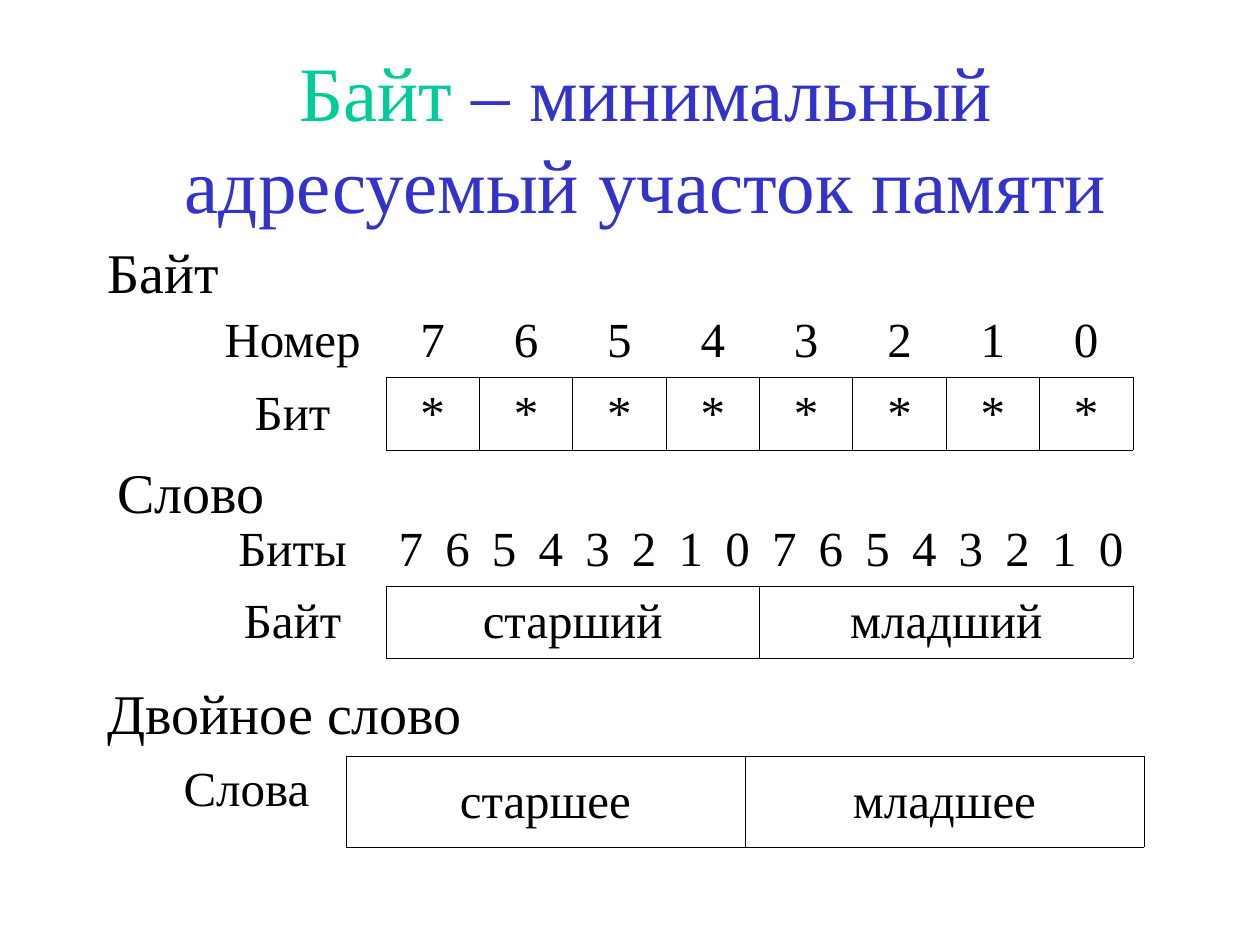
from lxml.etree import SubElement
from pptx import Presentation
from pptx.dml.color import RGBColor
from pptx.enum.text import MSO_ANCHOR, MSO_AUTO_SIZE, PP_ALIGN
from pptx.oxml.ns import qn
from pptx.util import Emu, Pt

FONT = "Times New Roman"
BLACK = RGBColor(0x00, 0x00, 0x00)
BLUE = RGBColor(0x33, 0x33, 0xCC)
GREEN = RGBColor(0x00, 0xCC, 0x99)
BORDER = Pt(0.45)

TITLE = [("Байт", GREEN), (" – минимальный адресуемый участок памяти", BLUE)]
TITLE_BOX = (95, 84, 1102, 105)
BODY = "Байт"
BODY_BOX = (95, 231, 1071, 640)
HEADINGS = [("Слово", (105, 451, 179, 81)), ("Двойное слово", (95, 672, 388, 81))]

BITS = list("76543210")
# Each row is a label and its values; the values of the last row are boxed.
TABLES = [
    dict(left=199, top=305, label_width=187, values_width=747, heights=(72, 73),
         rows=[("Номер", BITS), ("Бит", ["*"] * 8)], label_anchor=MSO_ANCHOR.MIDDLE),
    dict(left=199, top=514, label_width=187, values_width=747, heights=(72, 72),
         rows=[("Биты", BITS * 2), ("Байт", ["старший", "младший"])],
         label_anchor=MSO_ANCHOR.MIDDLE),
    dict(left=147, top=756, label_width=199, values_width=798, heights=(91,),
         rows=[("Слова", ["старшее", "младшее"])], label_anchor=MSO_ANCHOR.TOP),
]


def px(length):
    return Emu(round(length * 914400 / 126))


def place(shape, box):
    shape.left, shape.top, shape.width, shape.height = map(px, box)


def format_run(run, size, color=BLACK):
    run.font.name = FONT
    run.font.size = Pt(size)
    run.font.color.rgb = color


def write_heading(frame, heading):
    frame.word_wrap = True
    frame.auto_size = MSO_AUTO_SIZE.NONE
    frame.text = heading
    frame.paragraphs[0].space_before = Pt(0)
    format_run(frame.paragraphs[0].runs[0], 32)


def draw_borders(cell, edges):
    """Draw the edges named in edges (letters of LRTB) and clear the others."""
    properties = cell._tc.get_or_add_tcPr()
    for edge in "LRTB":
        line = SubElement(properties, qn("a:ln" + edge), w=str(BORDER))
        if edge in edges:
            fill = SubElement(line, qn("a:solidFill"))
            SubElement(fill, qn("a:srgbClr"), val=str(BLACK))
        else:
            SubElement(line, qn("a:noFill"))


def edges_of(row, column, last_row):
    if row == last_row:
        return "LRTB" if column else "R"
    return "B" if column and row == last_row - 1 else ""


def write_cell(cell, wording, anchor):
    cell.text = wording
    cell.vertical_anchor = anchor
    cell.margin_left = cell.margin_right = px(12.6)
    cell.margin_top = cell.margin_bottom = px(6.3)
    paragraph = cell.text_frame.paragraphs[0]
    paragraph.alignment = PP_ALIGN.CENTER
    format_run(paragraph.runs[0], 28)


def add_layout_table(slide, left, top, label_width, values_width, heights, rows,
                     label_anchor):
    value_count = max(len(values) for _, values in rows)
    table = slide.shapes.add_table(
        len(rows), value_count + 1, px(left), px(top),
        px(label_width + values_width), px(sum(heights))).table
    table.first_row = table.horz_banding = False
    for column, width in zip(
            table.columns, [label_width] + [values_width / value_count] * value_count):
        column.width = px(width)
    for r, (label, values) in enumerate(rows):
        table.rows[r].height = px(heights[r])
        for c in range(value_count + 1):
            cell = table.cell(r, c)
            draw_borders(cell, edges_of(r, c, len(rows) - 1))
            cell.fill.background()
        write_cell(table.cell(r, 0), label, label_anchor)
        span = value_count // len(values)
        for i, value in enumerate(values):
            first = 1 + i * span
            if span > 1:
                table.cell(r, first).merge(table.cell(r, first + span - 1))
            write_cell(table.cell(r, first), value, MSO_ANCHOR.MIDDLE)


def main():
    presentation = Presentation()
    presentation.slide_width, presentation.slide_height = px(1260), px(945)
    slide = presentation.slides.add_slide(presentation.slide_layouts[1])

    title, body = slide.placeholders
    place(title, TITLE_BOX)
    title.text_frame.auto_size = MSO_AUTO_SIZE.NONE
    title.text_frame.vertical_anchor = MSO_ANCHOR.MIDDLE
    title_line = title.text_frame.paragraphs[0]
    title_line.alignment = PP_ALIGN.CENTER
    for wording, color in TITLE:
        run = title_line.add_run()
        run.text = wording
        format_run(run, 44, color)

    place(body, BODY_BOX)
    write_heading(body.text_frame, BODY)
    SubElement(body.text_frame.paragraphs[0]._p.get_or_add_pPr(), qn("a:buNone"))

    for heading, box in HEADINGS:
        write_heading(slide.shapes.add_textbox(*map(px, box)).text_frame, heading)
    for layout in TABLES:
        add_layout_table(slide, **layout)

    presentation.save("out.pptx")


if __name__ == "__main__":
    main()
